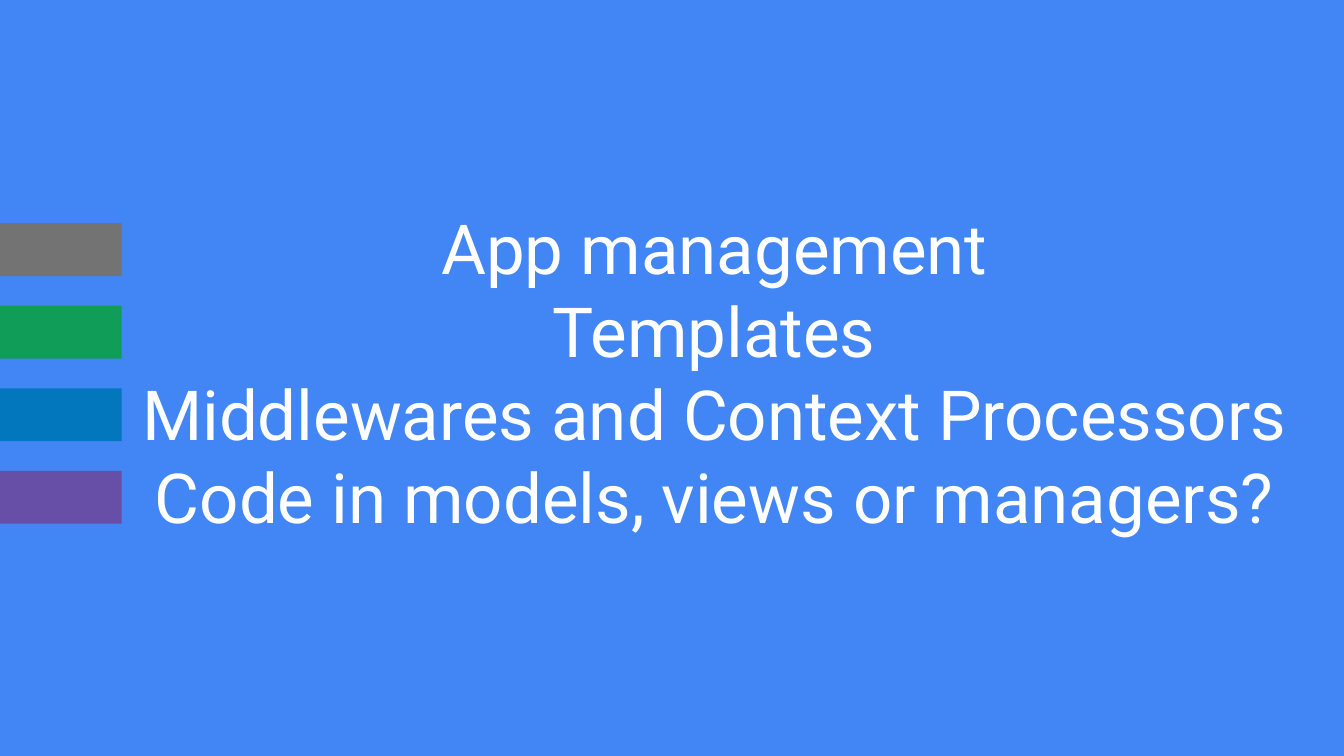
from pptx import Presentation
from pptx.dml.color import RGBColor as RGB
from pptx.enum.shapes import MSO_SHAPE as Shape
from pptx.enum.text import MSO_ANCHOR as Anchor, PP_ALIGN as Align
from pptx.util import Cm, Pt

BLUE = RGB(0x42, 0x85, 0xF4)
WHITE = RGB(0xFF, 0xFF, 0xFF)
GRAY = RGB(0x73, 0x73, 0x73)
GREEN = RGB(0x0F, 0x9D, 0x58)
NAVY = RGB(0x02, 0x77, 0xBD)
PURPLE = RGB(0x67, 0x4E, 0xA7)

TOPICS = [
    ("App management", GRAY),
    ("Templates", GREEN),
    ("Middlewares and Context Processors", NAVY),
    ("Code in models, views or managers?", PURPLE),
]


def add_title(slide, lines):
    box = slide.shapes.add_textbox(Cm(2.16), Cm(0.99), Cm(22.68), Cm(12.07))
    frame = box.text_frame
    frame.word_wrap = True
    frame.vertical_anchor = Anchor.MIDDLE
    frame.margin_left = frame.margin_right = Cm(0.25)
    frame.margin_top = frame.margin_bottom = Cm(0.25)
    para = frame.paragraphs[0]
    para.text = "\v".join(lines)
    para.alignment = Align.CENTER
    para.font.name = "Roboto"
    para.font.size = Pt(37)
    para.font.color.rgb = WHITE


def add_bar(slide, top, color):
    bar = slide.shapes.add_shape(Shape.RECTANGLE, 0, top, Cm(2.3), Cm(1))
    bar.shadow.inherit = False
    bar.fill.solid()
    bar.fill.fore_color.rgb = color
    bar.line.fill.background()


def main():
    deck = Presentation()
    deck.slide_width, deck.slide_height = Cm(25.4), Cm(14.29)
    slide = deck.slides.add_slide(deck.slide_layouts[6])

    # Background
    fill = slide.background.fill
    fill.solid()
    fill.fore_color.rgb = BLUE

    # Topics, one per line
    add_title(slide, [text for text, _ in TOPICS])

    # Evenly spaced bars at the left edge
    for i, (_, color) in enumerate(TOPICS):
        add_bar(slide, Cm(4.22 + 1.56 * i), color)

    deck.save("out.pptx")


if __name__ == "__main__":
    main()
